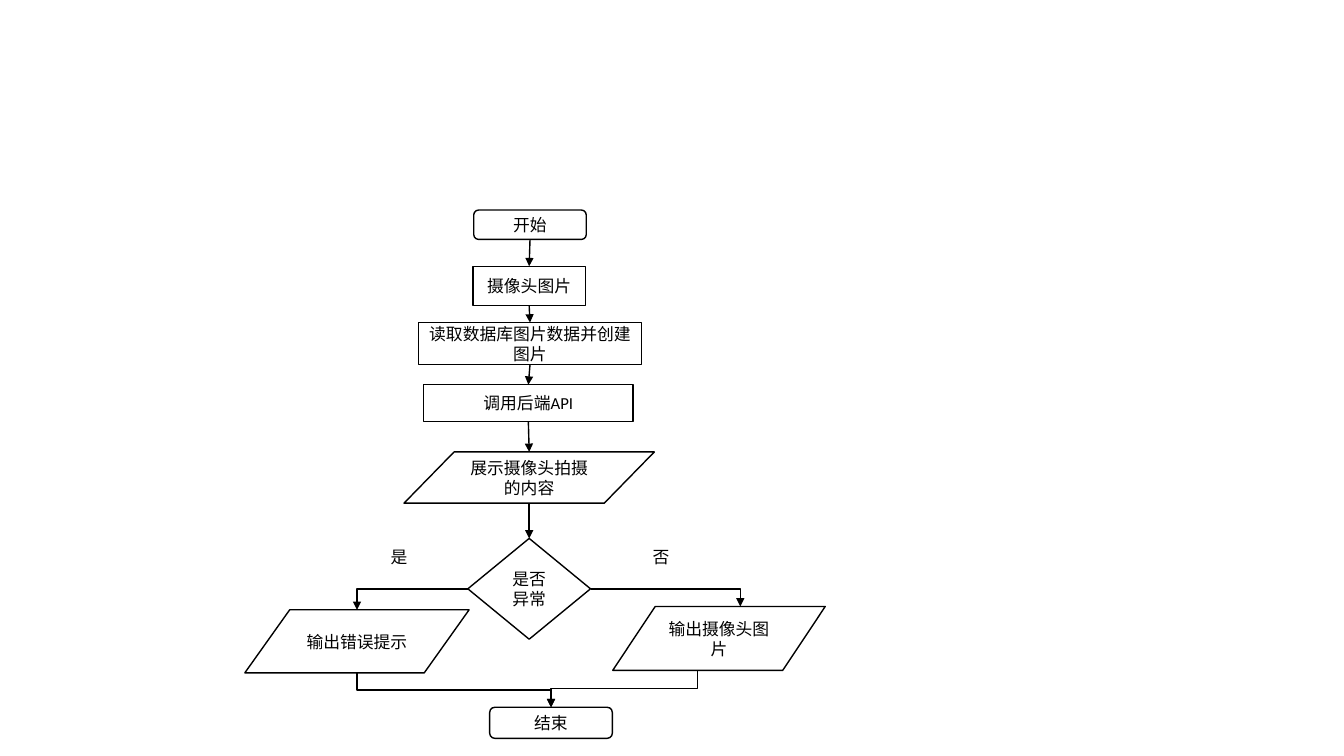
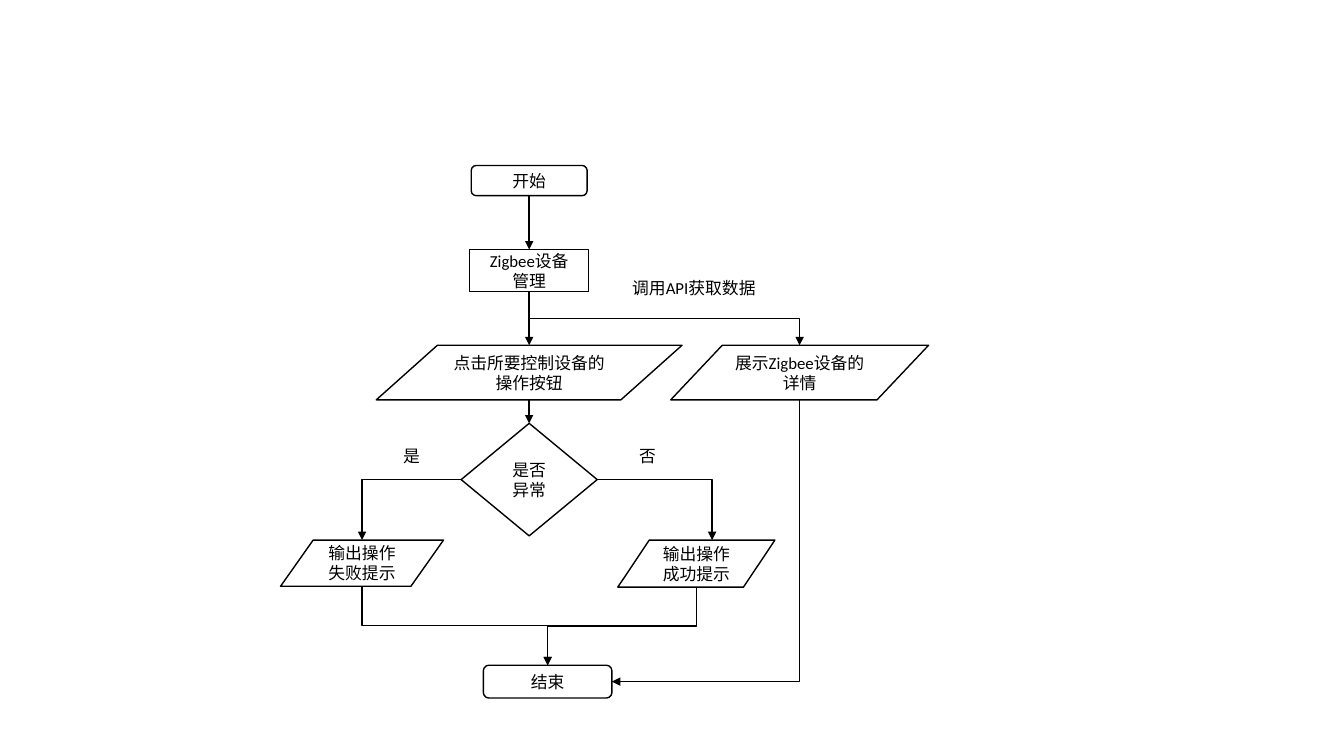
import dataclasses

import lxml.etree
import pptx
import pptx.dml.color
import pptx.enum.dml
import pptx.enum.shapes
import pptx.enum.text
import pptx.oxml.ns
import pptx.util

KIND = pptx.enum.shapes.MSO_SHAPE
LINK = pptx.enum.shapes.MSO_CONNECTOR
qn = pptx.oxml.ns.qn

# Connection sites: number, share of width, share of height
BOX = {"top": (0, .5, 0), "left": (1, 0, .5),
       "bottom": (2, .5, 1), "right": (3, 1, .5)}
SLANT = {"high": (0, .6, 0), "top": (1, .5, 0), "left": (2, .1, .5),
         "low": (3, .4, 1), "bottom": (4, .5, 1), "right": (5, .9, .5)}
DOWN = ("bottom", "low")


@dataclasses.dataclass(frozen=True)
class Theme:
    ink: str = "000000"
    paper: str = "FFFFFF"
    font: str = "Calibri"
    size: float = 12
    line: float = 1
    cols: int = 160
    rows: int = 90


def color(code):
    return pptx.dml.color.RGBColor.from_string(code)


def write(shape, text, *, font, size, ink):
    frame = shape.text_frame
    frame.word_wrap = True
    frame.vertical_anchor = pptx.enum.text.MSO_ANCHOR.MIDDLE
    para = frame.paragraphs[0]
    para.text = text
    para.alignment = pptx.enum.text.PP_ALIGN.CENTER
    for run in para.runs:
        run.font.name = font
        run.font.size = pptx.util.Pt(size)
        run.font.color.rgb = color(ink)


def slanted(shape):
    return shape.auto_shape_type == KIND.FLOWCHART_DATA


def locate(shape, side):
    """Return the site number and its position on the slide."""
    num, across, down = (SLANT if slanted(shape) else BOX)[side]
    return (num, round(shape.left + across * shape.width),
            round(shape.top + down * shape.height))


def glue(link, tag, shape, num):
    """Join a connector end without moving it."""
    props = link._element.find(".//" + qn("p:cNvCxnSpPr"))
    lxml.etree.SubElement(props, qn(tag), id=str(shape.shape_id), idx=str(num))


class Chart:
    def __init__(self, deck, theme):
        self.theme = theme
        self.col = deck.slide_width / theme.cols
        self.row = deck.slide_height / theme.rows
        self.shapes = deck.slides.add_slide(deck.slide_layouts[6]).shapes

    def node(self, kind, text, mid, top, wide, high, edge=None):
        """Place a shape by its middle column and top row."""
        look = self.theme
        shape = self.shapes.add_shape(
            kind, round((mid - wide / 2) * self.col), round(top * self.row),
            round(wide * self.col), round(high * self.row))
        shape.shadow.inherit = False
        shape.fill.solid()
        shape.fill.fore_color.rgb = color(look.paper)
        shape.line.color.rgb = color(edge or look.ink)
        shape.line.width = pptx.util.Pt(look.line)
        write(shape, text, font=look.font, size=look.size, ink=look.ink)
        return shape

    def step(self, *args):
        return self.node(KIND.RECTANGLE, *args)

    def stop(self, *args):
        return self.node(KIND.FLOWCHART_ALTERNATE_PROCESS, *args)

    def data(self, *args):
        return self.node(KIND.FLOWCHART_DATA, *args)

    def test(self, *args):
        return self.node(KIND.FLOWCHART_DECISION, *args)

    def label(self, text, mid, top, wide=7.1, high=4.2):
        self.step(text, mid, top, wide, high, self.theme.paper)

    def wire(self, kind, ends):
        link = self.shapes.add_connector(kind, *ends)
        link.line.color.rgb = color(self.theme.ink)
        link.line.width = pptx.util.Pt(self.theme.line)
        lxml.etree.SubElement(link.line._get_or_add_ln(), qn("a:tailEnd"),
                              type="triangle")
        lxml.etree.SubElement(link._element.spPr, qn("a:effectLst"))
        return link

    def chain(self, *nodes):
        """Join nodes from top to bottom with straight arrows."""
        for head, tail in zip(nodes, nodes[1:]):
            out, *start = locate(head, "bottom")
            into, *end = locate(tail, "top")
            link = self.wire(LINK.STRAIGHT, (*start, *end))
            if slanted(head):
                glue(link, "a:stCxn", head, out)
            else:
                link.begin_connect(head, out)
            if slanted(tail):
                glue(link, "a:endCxn", tail, into)
            else:
                link.end_connect(tail, into)

    def bend(self, head, out, tail, into):
        """Join two sites with a right-angled arrow."""
        first, x1, y1 = locate(head, out)
        last, x2, y2 = locate(tail, into)
        wide, high = abs(x2 - x1), abs(y2 - y1)
        falls, right = out in DOWN, x2 > x1
        if falls:
            wide, high = high, wide
            turn, flip = (270, "flipH") if right else (90, None)
        else:
            turn, flip = (0, None) if right else (180, "flipV")
        left = (x1 + x2 - wide) // 2
        top = (y1 + y2 - high) // 2
        link = self.wire(LINK.ELBOW, (left, top, left + wide, top + high))
        frame = link._element.spPr.find(qn("a:xfrm"))
        if turn:
            frame.set("rot", str(turn * 60000))
        if flip:
            frame.set(flip, "1")
        if not (falls and into == "top"):
            shape = link._element.spPr.find(qn("a:prstGeom"))
            shape.set("prst", "bentConnector2")
        glue(link, "a:stCxn", head, first)
        glue(link, "a:endCxn", tail, last)

    def split(self, test, fail, good, end, exit):
        """Branch from a test to two outcomes that meet at the end."""
        self.bend(test, "left", fail, "top")
        self.bend(test, "right", good, "high")
        self.bend(fail, "bottom", end, "top")
        self.bend(good, exit, end, "top")


def camera(deck, theme):
    flow = Chart(deck, theme)
    start = flow.stop("开始", 63.1, 25, 13.4, 3.5)
    photo = flow.step("摄像头图片", 63, 31.7, 13.4, 4.7)
    read = flow.step("读取数据库图片数据并创建图片", 63.1, 38.4, 26.6, 5)
    call = flow.step("调用后端API", 62.9, 45.8, 24.9, 4.4)
    show = flow.data("展示摄像头拍摄的内容", 63, 53.8, 29.8, 6.1)
    test = flow.test("是否异常", 63, 64.1, 14.6, 12)
    fail = flow.data("输出错误提示", 42.5, 72.6, 26.7, 7.5)
    good = flow.data("输出摄像头图片", 85.6, 72.2, 25.3, 7.6)
    end = flow.stop("结束", 65.6, 84.2, 14.6, 3.7)
    flow.label("是", 47.5, 64.2)
    flow.label("否", 78.7, 64.2)
    flow.chain(start, photo, read, call, show, test)
    flow.split(test, fail, good, end, "low")


def device(deck, theme):
    flow = Chart(deck, theme)
    start = flow.stop("开始", 63, 19.7, 13.8, 3.6)
    manage = flow.step("Zigbee设备\v管理", 63, 29.7, 14.2, 5)
    click = flow.data("点击所要控制设备的操作按钮", 63, 41.1, 36.4, 6.5)
    test = flow.test("是否异常", 63, 50.4, 16.2, 13.4)
    fail = flow.data("输出操作失败提示", 43.1, 64.3, 19.4, 5.5)
    good = flow.data("输出操作成功提示", 82.9, 64.3, 18.7, 5.6)
    end = flow.stop("结束", 65.2, 79.2, 15.3, 3.9)
    show = flow.data("展示Zigbee设备的详情", 95.2, 41.1, 30.7, 6.5)
    flow.label("是", 49, 52.1)
    flow.label("否", 77.1, 52.2)
    flow.label("调用API获取数据", 82.6, 32.3, 20.9, 4)
    flow.chain(start, manage, click, test)
    flow.split(test, fail, good, end, "bottom")
    flow.bend(manage, "bottom", show, "top")
    flow.bend(show, "bottom", end, "right")


def main():
    deck = pptx.Presentation()
    deck.slide_width = pptx.util.Inches(13.33)
    deck.slide_height = pptx.util.Inches(7.5)
    theme = Theme()
    camera(deck, theme)
    device(deck, theme)
    deck.save("out.pptx")


if __name__ == "__main__":
    main()
